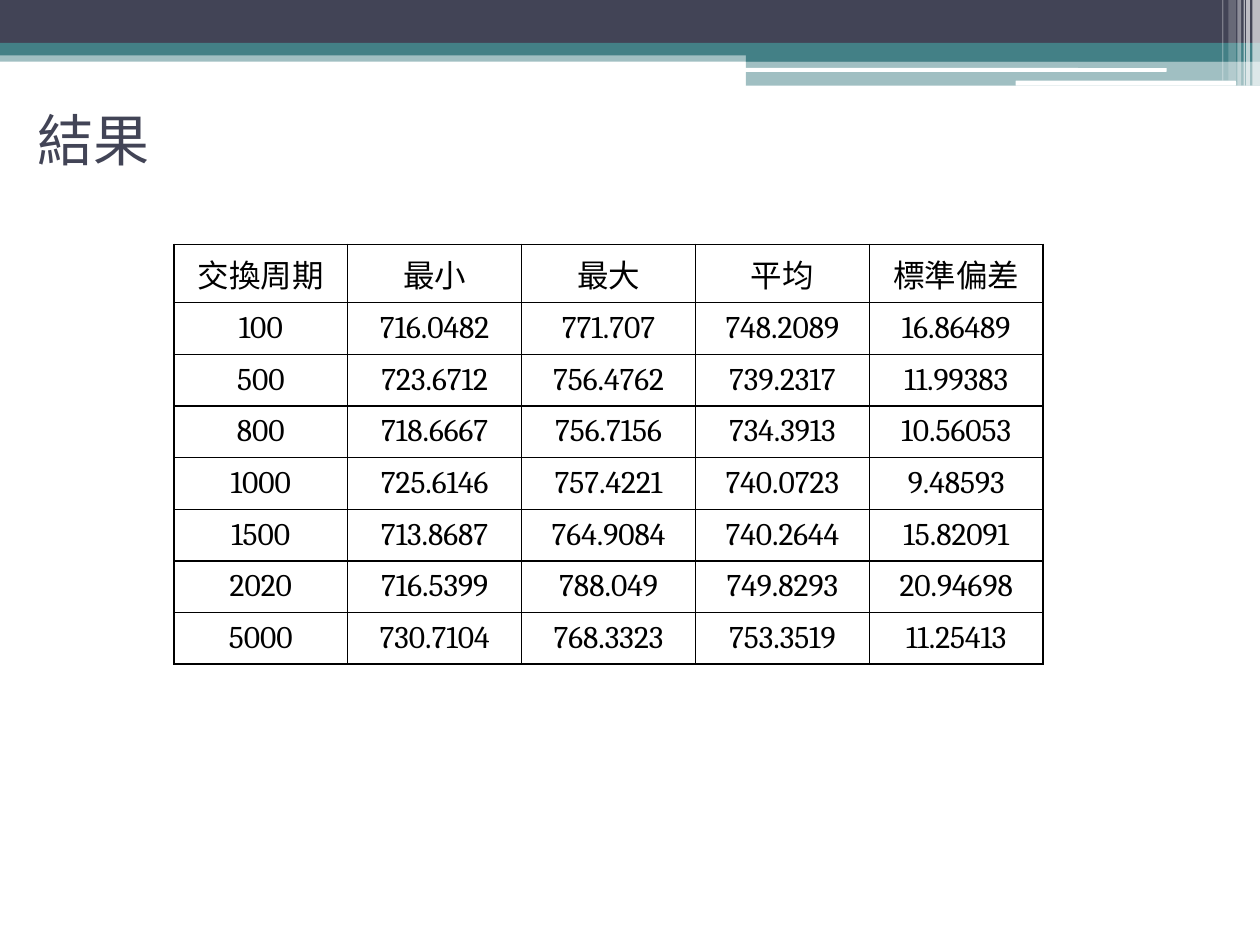
from lxml.etree import SubElement
from pptx import Presentation
from pptx.dml.color import RGBColor
from pptx.enum.shapes import MSO_SHAPE
from pptx.enum.text import MSO_ANCHOR, PP_ALIGN
from pptx.oxml.ns import qn
from pptx.util import Inches, Pt

NAVY, TEAL, WHITE, BLACK = "424456", "438086", "FFFFFF", "000000"
WIDTH, HEIGHT = 10, 7.5

# Header bands: left, top, width, height, colour, opacity in percent
BANDS = [
    (0, 0.4, WIDTH, 0.09, TEAL, 50),
    (0, 0, WIDTH, 0.34, NAVY, 100),
    (0, 0.34, WIDTH, 0.1, TEAL, 100),
    (5.92, 0.39, 4.08, 0.1, TEAL, 100),
    (5.92, 0.48, 4.08, 0.2, TEAL, 50),
]
# Rounded white rules: left, top, width, height
RULES = [(5.91, 0.54, 3.35, 0.03), (8.06, 0.64, 1.75, 0.04)]
# Translucent stripes in the corner: left, width, height, opacity in percent
STRIPES = [
    (9.94, 0.06, 0.68, 65),
    (9.89, 0.03, 0.68, 65),
    (9.87, 0.01, 0.68, 60),
    (9.82, 0.03, 0.68, 40),
    (9.75, 0.06, 0.64, 20),
    (9.7, 0.01, 0.64, 30),
]
RESULTS = [
    ("交換周期", "最小", "最大", "平均", "標準偏差"),
    ("100", "716.0482", "771.707", "748.2089", "16.86489"),
    ("500", "723.6712", "756.4762", "739.2317", "11.99383"),
    ("800", "718.6667", "756.7156", "734.3913", "10.56053"),
    ("1000", "725.6146", "757.4221", "740.0723", "9.48593"),
    ("1500", "713.8687", "764.9084", "740.2644", "15.82091"),
    ("2020", "716.5399", "788.049", "749.8293", "20.94698"),
    ("5000", "730.7104", "768.3323", "753.3519", "11.25413"),
]
COLUMN_WIDTH, ROW_HEIGHT = 1.38, 0.41


def color(value):
    return RGBColor.from_string(value)


def add_bar(slide, left, top, width, height, fill, opacity=100,
            outline=MSO_SHAPE.RECTANGLE):
    bar = slide.shapes.add_shape(
        outline, Inches(left), Inches(top), Inches(width), Inches(height))
    bar.shadow.inherit = False
    bar.line.fill.background()
    bar.fill.solid()
    bar.fill.fore_color.rgb = color(fill)
    if opacity < 100:
        tint = bar.fill._xPr.find(".//" + qn("a:srgbClr"))
        SubElement(tint, qn("a:alpha"), val=str(opacity * 1000))


def add_run(paragraph, text, size, font, text_color):
    run = paragraph.add_run()
    run.text = text
    run.font.size = Pt(size)
    run.font.name = font
    run.font.color.rgb = color(text_color)


def add_title(slide, text):
    title = slide.shapes.title
    title.left, title.top = Inches(0.2), Inches(0.52)
    title.width, title.height = Inches(9), Inches(1.17)
    title.text_frame.vertical_anchor = MSO_ANCHOR.MIDDLE
    paragraph = title.text_frame.paragraphs[0]
    paragraph.alignment = PP_ALIGN.LEFT
    add_run(paragraph, text, 32, "Cabin", NAVY)


def add_borders(cell):
    properties = cell._tc.get_or_add_tcPr()
    for side in ("a:lnL", "a:lnR", "a:lnT", "a:lnB"):
        border = SubElement(properties, qn(side), w=str(Pt(1)))
        fill = SubElement(border, qn("a:solidFill"))
        SubElement(fill, qn("a:srgbClr"), val=BLACK)


def add_results(slide, rows):
    row_count, column_count = len(rows), len(rows[0])
    table = slide.shapes.add_table(
        row_count, column_count, Inches(1.38), Inches(1.94),
        Inches(COLUMN_WIDTH * column_count),
        Inches(ROW_HEIGHT * row_count)).table
    table.first_row = table.horz_banding = False
    for row_index, values in enumerate(rows):
        for column_index, value in enumerate(values):
            cell = table.cell(row_index, column_index)
            add_borders(cell)
            cell.fill.background()
            cell.vertical_anchor = MSO_ANCHOR.MIDDLE
            paragraph = cell.text_frame.paragraphs[0]
            paragraph.alignment = PP_ALIGN.CENTER
            add_run(paragraph, value, 18, "Cambria", BLACK)


def main():
    presentation = Presentation()
    presentation.slide_width = Inches(WIDTH)
    presentation.slide_height = Inches(HEIGHT)
    slide = presentation.slides.add_slide(presentation.slide_layouts[5])

    # Header decoration
    for band in BANDS:
        add_bar(slide, *band)
    for rule in RULES:
        add_bar(slide, *rule, WHITE, outline=MSO_SHAPE.ROUNDED_RECTANGLE)
    for left, width, height, opacity in STRIPES:
        add_bar(slide, left, 0, width, height, WHITE, opacity)

    # Content
    add_title(slide, "結果")
    add_results(slide, RESULTS)
    presentation.save("out.pptx")


if __name__ == "__main__":
    main()
